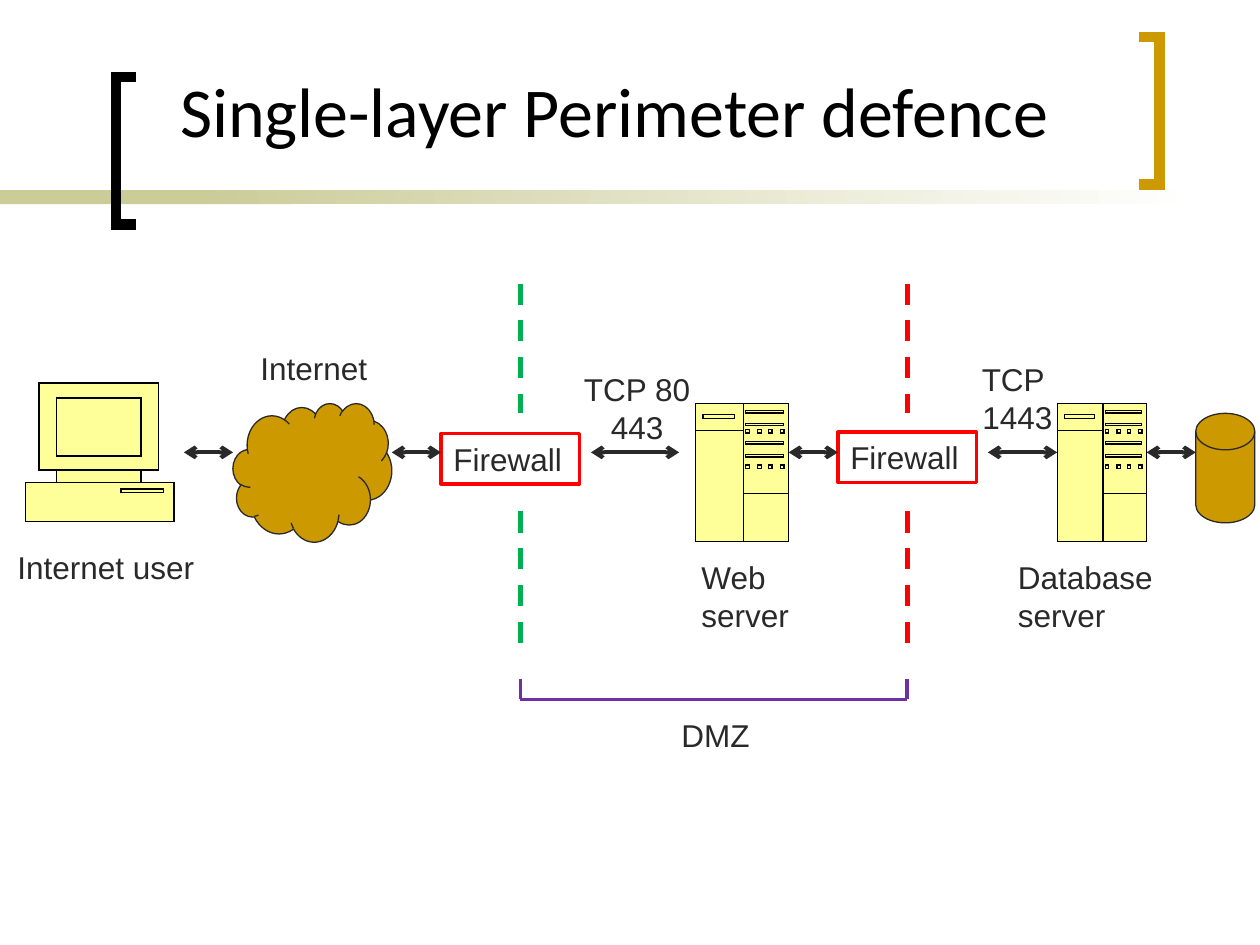
from typing import NamedTuple, Optional

from lxml import etree
from pptx import Presentation
from pptx.dml.color import RGBColor
from pptx.enum.dml import MSO_LINE
from pptx.enum.shapes import MSO_CONNECTOR, MSO_SHAPE
from pptx.enum.text import MSO_ANCHOR, MSO_AUTO_SIZE, PP_ALIGN
from pptx.oxml.ns import qn
from pptx.util import Pt

BLACK = RGBColor(0x00, 0x00, 0x00)
WHITE = RGBColor(0xFF, 0xFF, 0xFF)
CHARCOAL = RGBColor(0x29, 0x29, 0x29)
OLIVE = RGBColor(0xCC, 0xCC, 0x99)
GOLD = RGBColor(0xCC, 0x99, 0x00)
PALE_YELLOW = RGBColor(0xFF, 0xFF, 0x99)
RED = RGBColor(0xFF, 0x00, 0x00)
GREEN = RGBColor(0x00, 0xB0, 0x50)
PURPLE = RGBColor(0x70, 0x30, 0xA0)

RECTANGLE = MSO_SHAPE.RECTANGLE
CLOUD = MSO_SHAPE.CLOUD
DISK = MSO_SHAPE.FLOWCHART_MAGNETIC_DISK
STRAIGHT = MSO_CONNECTOR.STRAIGHT
DASH = MSO_LINE.DASH
LEFT, CENTER = PP_ALIGN.LEFT, PP_ALIGN.CENTER
TOP, BOTTOM = MSO_ANCHOR.TOP, MSO_ANCHOR.BOTTOM
FIT_TEXT = MSO_AUTO_SIZE.SHAPE_TO_FIT_TEXT

Points = list[tuple[float, float]]


class Box(NamedTuple):
    left: float
    top: float
    width: float
    height: float

    def lengths(self) -> list[Pt]:
        return [Pt(value) for value in self]


class Label(NamedTuple):
    box: Box
    lines: tuple[str, ...]
    align: PP_ALIGN = LEFT


class Server(NamedTuple):
    left: float
    width: float


FLOW_Y = 258.5
OUTER_X, INNER_X = 297.4, 518.4
SERVER_TOP, SERVER_HEIGHT = 230.4, 79.2
SERVER_UNIT_WIDTH = 53.3
DIVIDER_X, BAY_Y, SHELF_Y = 27.4, 15.8, 51.8

TITLE_BOX = Box(95.8, 31.7, 536.4, 58.3)
LABELS = [
    Label(Box(2.9, 309.6, 116.6, 28.8), ("Internet user",)),
    Label(Box(141.8, 195.8, 76.3, 28.8), ("Internet",)),
    Label(Box(393.8, 315.4, 64.8, 51.1), ("Web", "server")),
    Label(Box(574.6, 315.4, 97.2, 51.1), ("Database", "server")),
    Label(Box(326.2, 208.1, 75.6, 51.1), ("TCP 80", "443"), CENTER),
    Label(Box(553.7, 202.3, 55.4, 51.1), ("TCP ", "1443"), CENTER),
    Label(Box(382.3, 405.4, 54, 28.8), ("DMZ",)),
]
FIREWALLS = [Box(252, 247.7, 79.2, 28.8), Box(478.8, 247, 79.2, 28.8)]
SERVERS = [Server(397.4, 53.3), Server(604.1, 51.1)]
FLOWS = [(105.1, 133.2), (223.9, 252), (337.7, 388.1),
         (450.7, 478.8), (564.5, 604.1), (655.2, 683.3)]
BOUNDARIES = [(OUTER_X, GREEN), (INNER_X, RED)]
BOUNDARY_SPANS = [(162, 236.2), (292.3, 367.2)]
DMZ_TOP, DMZ_BOTTOM = 388.1, 399.6

COMPUTER = [(80.6, 275.8), (80.6, 268.6), (90.7, 268.6), (90.7, 218.9),
            (22.3, 218.9), (22.3, 268.6), (32.4, 268.6), (32.4, 275.8),
            (14.4, 275.8), (14.4, 298.1), (99.4, 298.1), (99.4, 275.8),
            (80.6, 275.8)]
COMPUTER_DETAILS = [Box(32.4, 268.6, 48.2, 7.2), Box(32.4, 227.5, 48.2, 33.1),
                    Box(69.1, 279.4, 24.5, 2.1)]

DRIVE_SLOT = Box(4.3, 6.5, 18, 2.1)
VENTS = [Box(28.8, y, 21.6, 1.3) for y in (4.3, 11.5, 22.1, 29.5)]
LIGHTS = [Box(x, y, 2, 2) for y in (15.1, 35.3) for x in (28.8, 35.7, 41.8, 48.6)]


def corners(box: Box) -> Points:
    """Closed outline of a box."""
    right, bottom = box.left + box.width, box.top + box.height
    return [(box.left, box.top), (right, box.top), (right, bottom),
            (box.left, bottom), (box.left, box.top)]


def write_lines(shape, lines: tuple[str, ...], size: float = 18, font: str = "Arial",
                color: RGBColor = CHARCOAL, align: PP_ALIGN = LEFT) -> None:
    frame = shape.text_frame
    for index, line in enumerate(lines):
        paragraph = frame.add_paragraph() if index else frame.paragraphs[0]
        paragraph.alignment = align
        run = paragraph.add_run()
        run.text = line
        run.font.size = Pt(size)
        run.font.name = font
        run.font.color.rgb = color


def draw_title(slide, text: str) -> None:
    shape = slide.shapes.add_textbox(*TITLE_BOX.lengths())
    shape.text_frame.word_wrap = True
    shape.text_frame.vertical_anchor = BOTTOM
    write_lines(shape, (text,), 40, "Calibri", BLACK)


def draw_label(slide, label: Label) -> None:
    shape = slide.shapes.add_textbox(*label.box.lengths())
    shape.text_frame.word_wrap = False
    shape.text_frame.auto_size = FIT_TEXT
    write_lines(shape, label.lines, align=label.align)


def draw_shape(slide, kind: MSO_SHAPE, box: Box, fill: RGBColor,
               line: Optional[RGBColor] = None, line_width: float = 0.75):
    shape = slide.shapes.add_shape(kind, *box.lengths())
    shape.shadow.inherit = False
    shape.fill.solid()
    shape.fill.fore_color.rgb = fill
    if line is None:
        shape.line.fill.background()
    else:
        shape.line.color.rgb = line
        shape.line.width = Pt(line_width)
    return shape


def draw_firewall(slide, box: Box) -> None:
    shape = draw_shape(slide, RECTANGLE, box, WHITE, RED, 2)
    shape.text_frame.vertical_anchor = TOP
    write_lines(shape, ("Firewall",))


def draw_outline(slide, contours: list[Points], line: RGBColor = BLACK,
                 line_width: float = 0.75, fill: Optional[RGBColor] = None) -> None:
    """Draw contours as one freeform with sharp corners."""
    scaled = [[(Pt(x), Pt(y)) for x, y in contour] for contour in contours]
    builder = slide.shapes.build_freeform(*scaled[0][0])
    for index, contour in enumerate(scaled):
        if index:
            builder.move_to(*contour[0])
        builder.add_line_segments(contour[1:], close=False)
    shape = builder.convert_to_shape()
    shape.shadow.inherit = False
    if fill is None:
        shape.fill.background()
    else:
        shape.fill.solid()
        shape.fill.fore_color.rgb = fill
    shape.line.color.rgb = line
    shape.line.width = Pt(line_width)
    etree.SubElement(shape.line._get_or_add_ln(), qn("a:miter"), lim="800000")


def draw_line(slide, start: tuple[float, float], end: tuple[float, float],
              color: RGBColor, width: float, dashed: bool = False,
              arrows: bool = False) -> None:
    ends = [Pt(value) for value in (*start, *end)]
    connector = slide.shapes.add_connector(STRAIGHT, *ends)
    connector.line.color.rgb = color
    connector.line.width = Pt(width)
    if dashed:
        connector.line.dash_style = DASH
    if arrows:
        for tag in ("a:headEnd", "a:tailEnd"):
            etree.SubElement(connector.line._get_or_add_ln(), qn(tag), type="arrow")
    etree.SubElement(connector._element.spPr, qn("a:effectLst"))


def draw_server(slide, server: Server) -> None:
    stretch = server.width / SERVER_UNIT_WIDTH
    case = Box(server.left, SERVER_TOP, server.width, SERVER_HEIGHT)
    details = [corners(box) for box in (DRIVE_SLOT, *VENTS, *LIGHTS)]
    details += [[(0, BAY_Y), (DIVIDER_X, BAY_Y)],
                [(DIVIDER_X, 0), (DIVIDER_X, SERVER_HEIGHT)],
                [(DIVIDER_X, SHELF_Y), (SERVER_UNIT_WIDTH, SHELF_Y)]]
    placed = [[(server.left + x * stretch, SERVER_TOP + y) for x, y in contour]
              for contour in details]
    draw_outline(slide, [corners(case)], fill=PALE_YELLOW)
    draw_outline(slide, placed)


def draw_frame(slide) -> None:
    """Draw the title rule and its two brackets."""
    draw_shape(slide, RECTANGLE, Box(0, 108.7, 167.8, 7.9), OLIVE)
    fade = draw_shape(slide, RECTANGLE, Box(113.8, 108.7, 570.2, 7.9), OLIVE)
    fade.fill.gradient()
    fade.fill.gradient_angle = 0
    for stop, color in zip(fade.fill.gradient_stops, (OLIVE, WHITE)):
        stop.color.rgb = color
    draw_outline(slide, [[(78, 128.2), (66.2, 128.2), (66.2, 43.9), (78, 43.9)]], BLACK, 6)
    draw_outline(slide, [[(650.9, 21.3), (662.6, 21.3), (662.6, 105.6), (650.9, 105.6)]], GOLD, 6)


def main() -> None:
    presentation = Presentation()
    presentation.slide_width, presentation.slide_height = Pt(720), Pt(540)
    slide = presentation.slides.add_slide(presentation.slide_layouts[6])
    draw_frame(slide)
    draw_title(slide, "Single-layer Perimeter defence")
    draw_outline(slide, [COMPUTER], fill=PALE_YELLOW)
    draw_outline(slide, [corners(box) for box in COMPUTER_DETAILS])
    draw_shape(slide, CLOUD, Box(133.2, 230.4, 90.7, 79.2), GOLD, CHARCOAL)
    draw_shape(slide, DISK, Box(683.3, 236.2, 33.8, 62.6), GOLD, CHARCOAL)
    for server in SERVERS:
        draw_server(slide, server)
    for firewall in FIREWALLS:
        draw_firewall(slide, firewall)
    for label in LABELS:
        draw_label(slide, label)
    for start_x, end_x in FLOWS:
        draw_line(slide, (start_x, FLOW_Y), (end_x, FLOW_Y), CHARCOAL, 2.25, arrows=True)
    draw_line(slide, (OUTER_X, DMZ_BOTTOM), (INNER_X, DMZ_BOTTOM), PURPLE, 2)
    for x, color in BOUNDARIES:
        draw_line(slide, (x, DMZ_TOP), (x, DMZ_BOTTOM), PURPLE, 2)
        for top, bottom in BOUNDARY_SPANS:
            draw_line(slide, (x, top), (x, bottom), color, 3, dashed=True)
    presentation.save("out.pptx")


if __name__ == "__main__":
    main()
